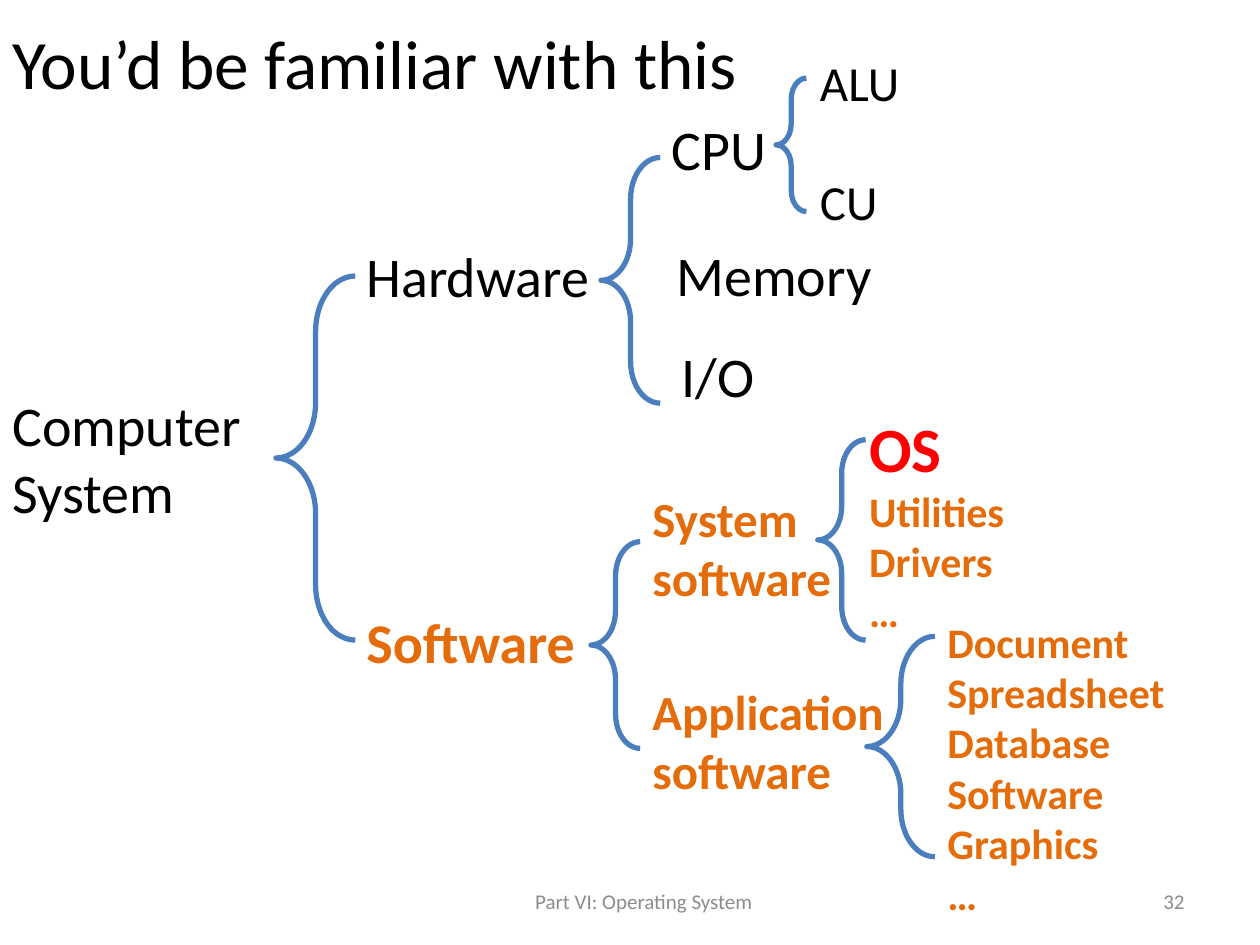
from pptx import Presentation
from pptx.dml.color import RGBColor
from pptx.enum.shapes import MSO_SHAPE
from pptx.enum.text import MSO_ANCHOR, MSO_AUTO_SIZE, PP_ALIGN
from pptx.util import Inches, Pt

BRACE = MSO_SHAPE.LEFT_BRACE
TOP, MIDDLE = MSO_ANCHOR.TOP, MSO_ANCHOR.MIDDLE
FIT, FIXED = MSO_AUTO_SIZE.SHAPE_TO_FIT_TEXT, MSO_AUTO_SIZE.NONE
LEFT, CENTER, RIGHT = PP_ALIGN.LEFT, PP_ALIGN.CENTER, PP_ALIGN.RIGHT

FONT = "Calibri"
COLORS = {
    "text": "000000",
    "software": "E46C0A",
    "highlight": "FF0000",
    "brace": "4B7EBC",
    "footer": "8C8C8C",
}

BRACES = [
    (2.19, 2.19, 0.63, 2.89),
    (4.69, 4.3, 0.39, 1.64),
    (6.16, 0.62, 0.24, 1.06),
    (6.49, 3.49, 0.38, 1.59),
    (6.88, 5.05, 0.54, 1.75),
    (4.77, 1.25, 0.47, 1.95),
]

HARDWARE_LABELS = [
    ((0, 3.05, 2.14, 1.18), ["Computer", "System"], 32),
    ((2.81, 1.87, 1.99, 0.64), ["Hardware"], 32),
    ((5.23, 0.86, 0.96, 0.64), ["CPU"], 32),
    ((6.41, 0.37, 0.84, 0.57), ["ALU"], 28),
    ((6.41, 1.31, 0.66, 0.57), ["CU"], 28),
    ((5.27, 1.86, 1.77, 0.64), ["Memory"], 32),
    ((5.31, 2.66, 0.79, 0.64), ["I/O"], 32),
]

SOFTWARE_LABELS = [
    ((2.81, 4.77, 1.89, 0.64), ["Software"], 32),
    ((5.08, 3.83, 1.65, 1.04), ["System", "software"], 28),
    ((5.08, 5.36, 2.06, 1.04), ["Application", "software"], 28),
]

APPLICATIONS = ["Document", "Spreadsheet", "Database Software", "Graphics", "…"]
SYSTEM_SOFTWARE = ["OS", "Utilities", "Drivers", "…"]


class SlideBuilder:
    def __init__(self, slide):
        self.slide = slide

    def style(self, para, size, color, bold=False):
        for span in para.runs:
            span.font.name = FONT
            span.font.size = Pt(size)
            span.font.bold = bold
            span.font.color.rgb = RGBColor.from_string(COLORS[color])

    def text(self, place, lines, size, color="text", bold=False, wrap=False,
             fit=FIT, anchor=TOP, align=LEFT):
        box = self.slide.shapes.add_textbox(*map(Inches, place))
        frame = box.text_frame
        frame.text = "\n".join(lines)
        frame.word_wrap = wrap
        frame.auto_size = fit
        frame.vertical_anchor = anchor
        for para in frame.paragraphs:
            para.alignment = align
            self.style(para, size, color, bold)
        return box

    def fixed_text(self, place, line, size, color, align):
        return self.text(place, [line], size, color, wrap=True,
                         fit=FIXED, anchor=MIDDLE, align=align)

    def brace(self, place):
        shape = self.slide.shapes.add_shape(BRACE, *map(Inches, place))
        shape.shadow.inherit = False
        shape.adjustments[0] = 0.7
        shape.adjustments[1] = 0.5
        shape.fill.background()
        shape.line.color.rgb = RGBColor.from_string(COLORS["brace"])
        shape.line.width = Pt(3)


def main():
    deck = Presentation()
    deck.slide_width, deck.slide_height = Inches(10), Inches(7.5)
    page = SlideBuilder(deck.slides.add_slide(deck.slide_layouts[6]))

    page.fixed_text((0, 0.13, 9, 0.72), "You’d be familiar with this", 39.6, "text", LEFT)
    page.fixed_text((3.42, 6.95, 3.38, 0.4), "Part VI: Operating System", 12, "footer", CENTER)
    page.fixed_text((7.17, 6.95, 2.33, 0.4), "32", 12, "footer", RIGHT)

    for place in BRACES:
        page.brace(place)
    for place, lines, size in HARDWARE_LABELS:
        page.text(place, lines, size)
    for place, lines, size in SOFTWARE_LABELS:
        page.text(place, lines, size, "software", bold=True)

    page.text((7.42, 4.84, 2.42, 2.52), APPLICATIONS, 24, "software", bold=True, wrap=True)
    system_box = page.text((6.8, 3.2, 1.48, 1.92), SYSTEM_SOFTWARE, 24, "software",
                           bold=True, wrap=True)
    page.style(system_box.text_frame.paragraphs[0], 36, "highlight", bold=True)

    deck.save("out.pptx")


if __name__ == "__main__":
    main()
